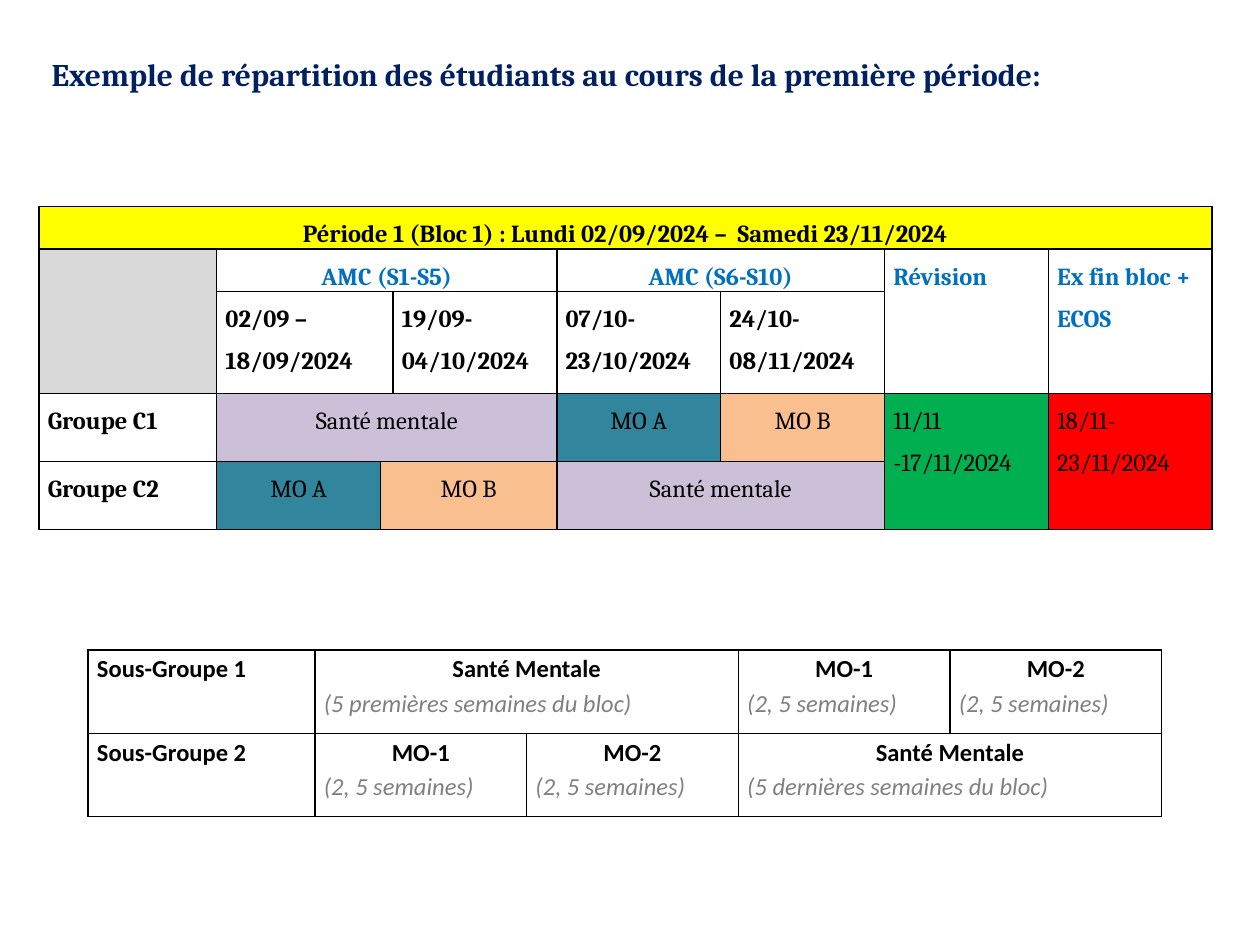
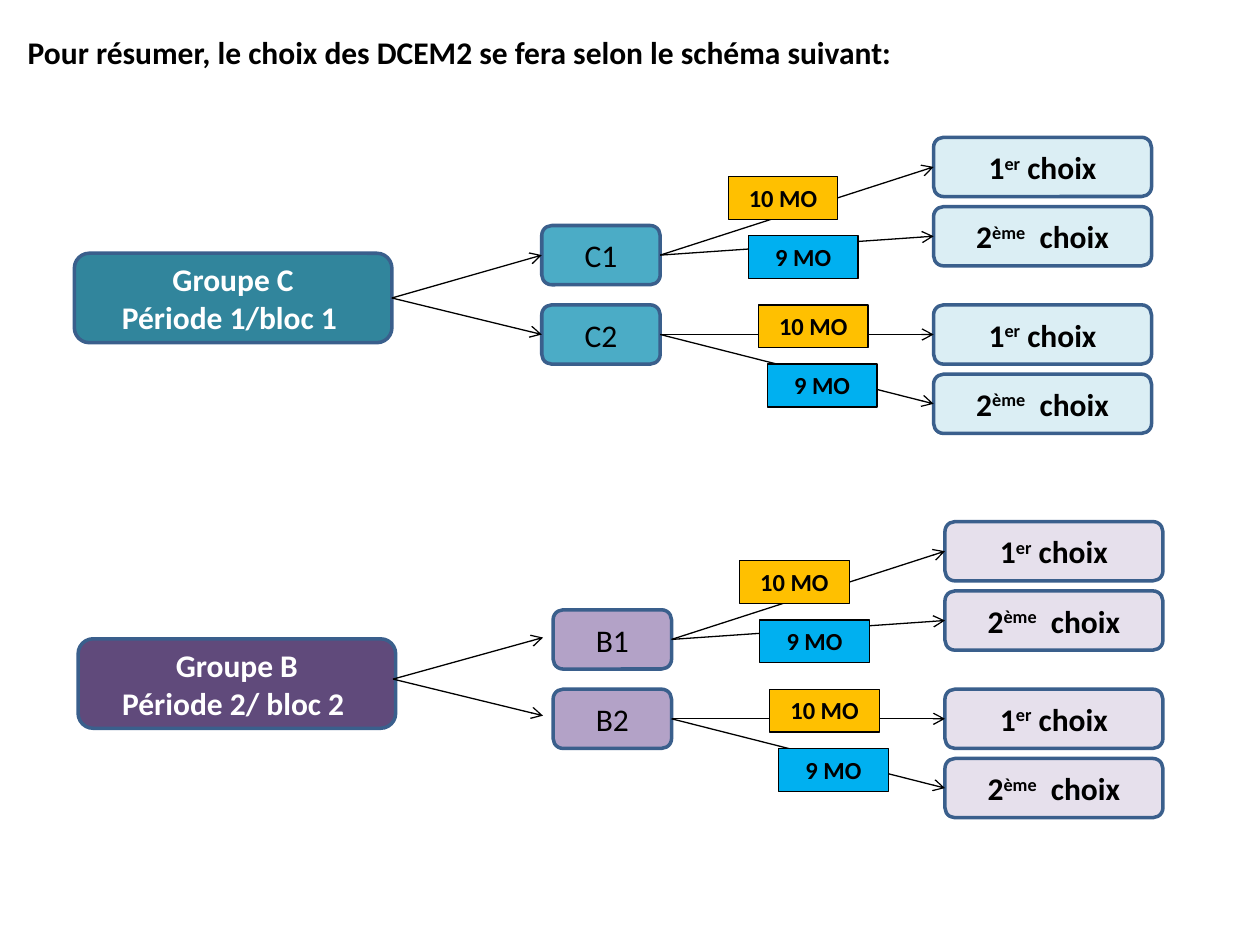
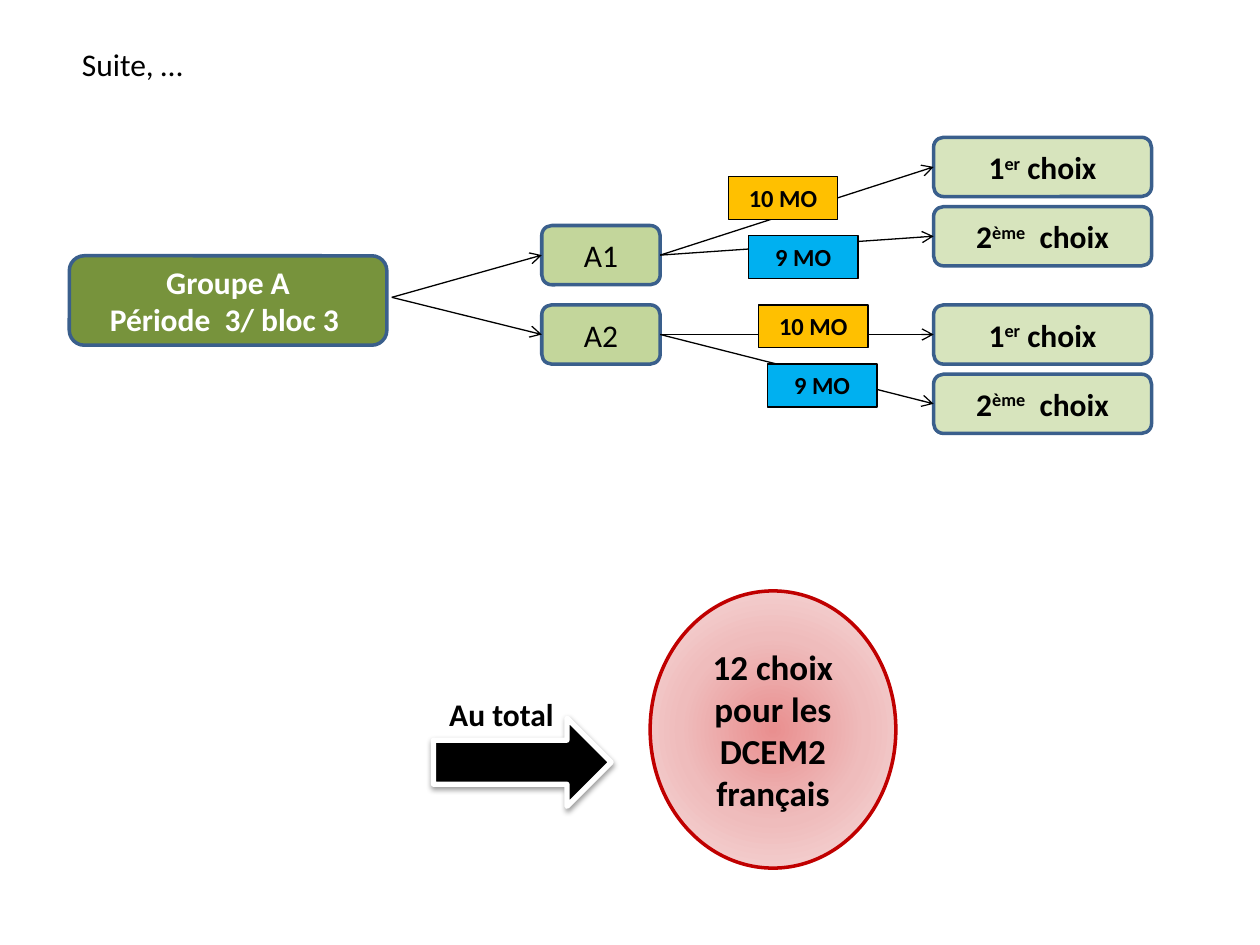
from lxml import etree
from pptx import Presentation
from pptx.dml.color import RGBColor as RGB
from pptx.enum.shapes import MSO_CONNECTOR as LINK, MSO_SHAPE as SHAPE
from pptx.enum.text import MSO_ANCHOR as ANCHOR, MSO_AUTO_SIZE as FIT, PP_ALIGN as ALIGN
from pptx.oxml import parse_xml
from pptx.oxml.ns import nsdecls, qn
from pptx.util import Inches, Pt

BLACK = RGB(0x00, 0x00, 0x00)
WHITE = RGB(0xFF, 0xFF, 0xFF)
NAVY = RGB(0x00, 0x20, 0x60)
BLUE = RGB(0x00, 0x70, 0xC0)
SKY = RGB(0x00, 0xB0, 0xF0)
EDGE = RGB(0x3A, 0x5F, 0x8C)
GOLD = RGB(0xFF, 0xC0, 0x00)
YELLOW = RGB(0xFF, 0xFF, 0x00)
SILVER = RGB(0xD9, 0xD9, 0xD9)
GREY = RGB(0x80, 0x80, 0x80)
GREEN = RGB(0x00, 0xB0, 0x50)
RED = RGB(0xFF, 0x00, 0x00)
CRIMSON = RGB(0xC0, 0x00, 0x00)
ROSE = RGB(0xEF, 0xBC, 0xBC)
LILAC = RGB(0xCC, 0xC0, 0xD9)
PEACH = RGB(0xFA, 0xBF, 0x8F)
TEAL = RGB(0x31, 0x85, 0x9C)
AQUA = RGB(0x4B, 0xAC, 0xC6)
ICE = RGB(0xDB, 0xEE, 0xF4)
PLUM = RGB(0x60, 0x4A, 0x7B)
MAUVE = RGB(0xB3, 0xA2, 0xC7)
MIST = RGB(0xE6, 0xE0, 0xEC)
OLIVE = RGB(0x77, 0x93, 0x3C)
SAGE = RGB(0xC3, 0xD6, 0x9B)
PALE = RGB(0xD7, 0xE4, 0xBD)

SANS, SERIF = "Calibri", "Cambria"
LEFT, MID = ALIGN.LEFT, ALIGN.CENTER


def style(par, size, color=BLACK, bold=True, font=SANS, align=MID):
    par.alignment = align
    for run in par.runs:
        run.font.size = Pt(size)
        run.font.name = font
        run.font.bold = bold
        run.font.color.rgb = color


def box(slide, kind, area, fill, edge, width, text="", size=18, color=BLACK, bold=True):
    shape = slide.shapes.add_shape(kind, *[Inches(n) for n in area])
    shape.shadow.inherit = False
    shape.fill.solid()
    shape.fill.fore_color.rgb = fill
    shape.line.color.rgb = edge
    shape.line.width = Pt(width)
    frame = shape.text_frame
    frame.text = text
    frame.word_wrap = True
    frame.vertical_anchor = ANCHOR.MIDDLE
    for par in frame.paragraphs:
        style(par, size, color, bold)
    return shape


deck = Presentation()
deck.slide_width, deck.slide_height = Inches(10), Inches(7.5)

titles = [
    ("Exemple de répartition des étudiants au cours de la première période:",
     (0.31, 0.39, 8.52, 0.4), NAVY, True, SERIF),
    ("Pour résumer, le choix des DCEM2 se fera selon le schéma suivant:",
     (0.12, 0.21, 8.11, 0.4), BLACK, True, SANS),
    ("Suite, …", (0.55, 0.31, 1.95, 0.4), BLACK, False, SANS),
]
slides = []
for text, area, color, bold, font in titles:
    slide = deck.slides.add_slide(deck.slide_layouts[5])
    title = slide.shapes.title
    title.left, title.top, title.width, title.height = [Inches(n) for n in area]
    frame = title.text_frame
    frame.text = text
    frame.word_wrap = True
    frame.auto_size = FIT.NONE
    frame.vertical_anchor = ANCHOR.TOP
    style(frame.paragraphs[0], 18, color, bold, font, LEFT)
    slides.append(slide)
plan, recap, rest = slides

period = [
    (0, 0, 1, 8, "Période 1 (Bloc 1)\u00a0: Lundi 02/09/2024 –  Samedi 23/11/2024", YELLOW, BLACK, True, MID),
    (1, 0, 2, 1, "", SILVER, BLACK, True, LEFT),
    (1, 1, 1, 3, "AMC (S1-S5)", WHITE, BLUE, True, MID),
    (1, 4, 1, 2, "AMC (S6-S10)", WHITE, BLUE, True, MID),
    (1, 6, 2, 1, "Révision", WHITE, BLUE, True, LEFT),
    (1, 7, 2, 1, "Ex fin bloc + ECOS", WHITE, BLUE, True, LEFT),
    (2, 1, 1, 2, "02/09 – 18/09/2024", WHITE, BLACK, True, LEFT),
    (2, 3, 1, 1, "19/09-04/10/2024", WHITE, BLACK, True, LEFT),
    (2, 4, 1, 1, "07/10-23/10/2024", WHITE, BLACK, True, LEFT),
    (2, 5, 1, 1, "24/10-08/11/2024", WHITE, BLACK, True, LEFT),
    (3, 0, 1, 1, "Groupe C1", WHITE, BLACK, True, LEFT),
    (3, 1, 1, 3, "Santé mentale", LILAC, BLACK, False, MID),
    (3, 4, 1, 1, "MO A", TEAL, BLACK, False, MID),
    (3, 5, 1, 1, "MO B", PEACH, BLACK, False, MID),
    (3, 6, 2, 1, "11/11 -17/11/2024", GREEN, BLACK, False, LEFT),
    (3, 7, 2, 1, "18/11-23/11/2024", RED, BLACK, False, LEFT),
    (4, 0, 1, 1, "Groupe C2", WHITE, BLACK, True, LEFT),
    (4, 1, 1, 1, "MO A", TEAL, BLACK, False, MID),
    (4, 2, 1, 2, "MO B", PEACH, BLACK, False, MID),
    (4, 4, 1, 2, "Santé mentale", LILAC, BLACK, False, MID),
]
weeks = [
    (row, col, 1, span, text, WHITE, BLACK, True, MID if col else LEFT)
    for row, col, span, text in [
        (0, 0, 1, "Sous-Groupe 1"),
        (0, 1, 2, "Santé Mentale\n(5 premières semaines du bloc)"),
        (0, 3, 1, "MO-1\n(2, 5 semaines)"),
        (0, 4, 1, "MO-2\n(2, 5 semaines)"),
        (1, 0, 1, "Sous-Groupe 2"),
        (1, 1, 1, "MO-1\n(2, 5 semaines)"),
        (1, 2, 1, "MO-2\n(2, 5 semaines)"),
        (1, 3, 2, "Santé Mentale\n(5 dernières semaines du bloc)"),
    ]
]
tables = [
    (0.31, 1.64, [1.41, 1.3, 0.1] + [1.3] * 5, [0.27, 0.27, 0.81, 0.54, 0.54], period, SERIF, 1.5),
    (0.7, 5.16, [1.8] + [1.68] * 4, [0.66] * 2, weeks, SANS, 1.15),
]
for left, top, cols, rows, cells, font, space in tables:
    table = plan.shapes.add_table(
        len(rows), len(cols), Inches(left), Inches(top), Inches(sum(cols)), Inches(sum(rows))).table
    table.first_row = table.horz_banding = False
    for col, width in zip(table.columns, cols):
        col.width = Inches(width)
    for row, height in zip(table.rows, rows):
        row.height = Inches(height)
    for cell in table.iter_cells():
        cell.margin_left = cell.margin_right = Inches(0.07)
        cell.margin_top = cell.margin_bottom = 0
        cell.fill.solid()
        cell.fill.fore_color.rgb = WHITE
        for spot, side in enumerate(["lnL", "lnR", "lnT", "lnB"]):
            cell._tc.get_or_add_tcPr().insert(spot, parse_xml(
                f'<a:{side} {nsdecls("a")} w="12700"><a:solidFill>'
                f'<a:srgbClr val="{BLACK}"/></a:solidFill></a:{side}>'))
    for row, col, down, across, text, fill, color, bold, align in cells:
        cell = table.cell(row, col)
        if down * across > 1:
            cell.merge(table.cell(row + down - 1, col + across - 1))
        cell.fill.fore_color.rgb = fill
        cell.text_frame.text = text
        for spot, par in enumerate(cell.text_frame.paragraphs):
            par.line_spacing = space
            if spot == 0:
                style(par, 14, color, bold, font, align)
            else:
                style(par, 14, GREY, False, font, LEFT)
                par.runs[0].font.italic = True

trees = [
    (recap, "C", "Groupe C\nPériode 1/bloc 1 ", (0.59, 2.01), (TEAL, AQUA, ICE), (0, 0), (0, 0), True, True),
    (recap, "B", "Groupe B\nPériode 2/ bloc 2 ", (0.62, 5.07), (PLUM, MAUVE, MIST), (0.09, 3.05), (0.01, 3.03),
     False, False),
    (rest, "A", "Groupe A\nPériode  3/ bloc 3 ", (0.55, 2.03), (OLIVE, SAGE, PALE), (0, 0), (0, 0), False, True),
]
ranks = [("1", "er", " choix"), ("2", "ème", "  choix")]
tags = [("10 MO", GOLD, 5.78, 1.4), ("9 MO", SKY, 5.94, 1.87),
        ("10 MO", GOLD, 6.02, 2.42), ("9 MO", SKY, 6.09, 2.89)]
for slide, name, text, place, (dark, tint, light), (dx, dy), (fx, fy), tied, met in trees:
    root = box(slide, SHAPE.ROUNDED_RECTANGLE, (*place, 2.52, 0.71), dark, EDGE, 2, text, 18, WHITE)
    links = []
    for half in range(2):
        node = box(slide, SHAPE.ROUNDED_RECTANGLE, (4.3 + dx, 1.79 + dy + 0.63 * half, 0.94, 0.47),
                   tint, EDGE, 2, f"{name}{half + 1}", 18, BLACK, False)
        links.append(((3.11 + fx, 2.36 + fy), (4.3 + fx, 2.03 + fy + 0.62 * half),
                      root if tied else None, node if met else None))
        for step, rank in enumerate(ranks):
            pick = box(slide, SHAPE.ROUNDED_RECTANGLE,
                       (7.41 + dx, 1.09 + dy + 1.33 * half + 0.55 * step, 1.73, 0.47), light, EDGE, 2)
            par = pick.text_frame.paragraphs[0]
            for part in rank:
                par.add_run().text = part
            style(par, 18)
            par.runs[1]._r.get_or_add_rPr().set("baseline", "30000")
            links.append(((0, 0), (0, 0), node, pick))
    for start, end, source, goal in links:
        link = slide.shapes.add_connector(LINK.STRAIGHT, *[Inches(n) for n in start + end])
        if source:
            link.begin_connect(source, 3)
        if goal:
            link.end_connect(goal, 1)
        link.line.color.rgb = BLACK
        link.line.width = Pt(0.75)
        etree.SubElement(link.line._get_or_add_ln(), qn("a:tailEnd"), type="arrow")
        etree.SubElement(link._element.spPr, qn("a:effectLst"))
    for text, fill, left, top in tags:
        tag = box(slide, SHAPE.RECTANGLE, (left + dx, top + dy, 0.87, 0.34), fill, BLACK, 0.75, text, 14)
        tag.text_frame.vertical_anchor = ANCHOR.TOP

total = box(rest, SHAPE.OVAL, (5.16, 4.69, 1.95, 2.2), ROSE, CRIMSON, 2, "12 choix pour les DCEM2 français", 20)
stops = "".join(f'<a:gs pos="{spot}"><a:srgbClr val="{tone}"/></a:gs>'
                for spot, tone in [(0, "E98F8F"), (50000, "EFBCBC"), (100000, "F7DEDE")])
props = total._element.spPr
props.replace(props.find(qn("a:solidFill")), parse_xml(
    f'<a:gradFill {nsdecls("a")}><a:gsLst>{stops}</a:gsLst><a:path path="circle">'
    '<a:fillToRect l="50000" t="50000" r="50000" b="50000"/></a:path></a:gradFill>'))

arrow = box(rest, SHAPE.RIGHT_ARROW, (3.44, 5.7, 1.41, 0.7), BLACK, WHITE, 3)
arrow._element.spPr.find(qn("a:effectLst")).append(parse_xml(
    f'<a:outerShdw {nsdecls("a")} blurRad="40000" dist="20000" dir="5400000" rotWithShape="0">'
    f'<a:srgbClr val="{BLACK}"><a:alpha val="38000"/></a:srgbClr></a:outerShdw>'))

label = rest.shapes.add_textbox(Inches(3.12), Inches(5.47), Inches(1.72), Inches(0.4))
label.text_frame.word_wrap = True
label.text_frame.text = "Au total"
style(label.text_frame.paragraphs[0], 18)

deck.save("out.pptx")
